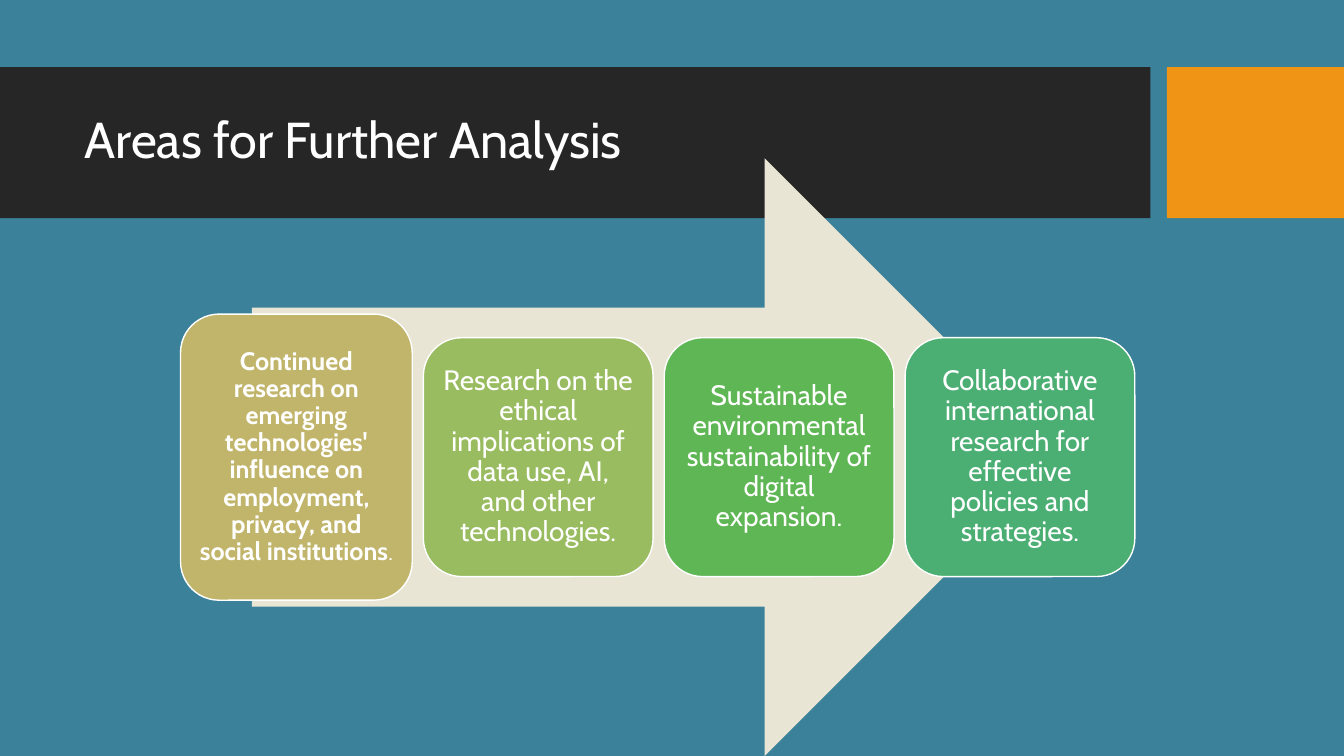
from dataclasses import dataclass

from pptx import Presentation
from pptx.dml.color import RGBColor as Rgb
from pptx.enum.shapes import MSO_SHAPE as Kind
from pptx.enum.text import MSO_ANCHOR as Anchor, PP_ALIGN as Align
from pptx.util import Cm, Pt


@dataclass(frozen=True)
class Theme:
    font: str = "Cabin"
    back: str = "3A8199"
    band: str = "262626"
    accent: str = "F09415"
    arrow: str = "E9E5D4"
    white: str = "FFFFFF"
    title: int = 36
    body: int = 20
    lead: int = 18
    stop: int = 16


def write(frame, text, *, font, size, color, bold=False, align=Align.LEFT,
          pad=(0.25, 0.13), tail="", tail_size=None):
    """Fill a frame with one paragraph and an optional plain tail."""
    frame.word_wrap = True
    frame.vertical_anchor = Anchor.MIDDLE
    frame.margin_left = frame.margin_right = Cm(pad[0])
    frame.margin_top = frame.margin_bottom = Cm(pad[1])
    para = frame.paragraphs[0]
    para.alignment = align
    para.line_spacing = 0.9
    for part, points, heavy in ((text, size, bold), (tail, tail_size, False)):
        if part:
            run = para.add_run()
            run.text = part
            run.font.name = font
            run.font.size = Pt(points)
            run.font.bold = heavy
            run.font.color.rgb = Rgb.from_string(color)


class Canvas:
    def __init__(self, slide, theme):
        self.slide, self.theme = slide, theme
        fill = slide.background.fill
        fill.solid()
        fill.fore_color.rgb = Rgb.from_string(theme.back)

    def shape(self, kind, box, color, line=None):
        item = self.slide.shapes.add_shape(kind, *map(Cm, box))
        item.shadow.inherit = False
        item.fill.solid()
        item.fill.fore_color.rgb = Rgb.from_string(color)
        if line:
            item.line.color.rgb = Rgb.from_string(line)
            item.line.width = Pt(1)
        else:
            item.line.fill.background()
        return item

    def title(self, text, box):
        look = self.theme
        item = self.slide.shapes.add_textbox(*map(Cm, box))
        write(item.text_frame, text, font=look.font, size=look.title,
              color=look.white)

    def card(self, text, box, color, **style):
        look = self.theme
        item = self.shape(Kind.ROUNDED_RECTANGLE, box, color, look.white)
        style = {"size": look.body, "pad": (0.2, 0.2), **style}
        write(item.text_frame, text, font=look.font, color=look.white,
              align=Align.CENTER, **style)


def main():
    deck = Presentation()
    deck.slide_width, deck.slide_height = Cm(33.87), Cm(19.05)
    look = Theme()
    page = Canvas(deck.slides.add_slide(deck.slide_layouts[6]), look)

    # Title band and accent block
    page.shape(Kind.RECTANGLE, (0, 1.69, 28.99, 3.81), look.band)
    page.shape(Kind.RECTANGLE, (29.41, 1.69, 4.46, 3.81), look.accent)
    page.title("Areas for Further Analysis", (1.88, 2.08, 26.7, 3))

    # Arrow behind the cards
    page.shape(Kind.RIGHT_ARROW, (6.35, 3.99, 20.45, 15.06), look.arrow)

    # Cards in a row, centred on the arrow; the first is larger
    large, small = (5.84, 7.21), (5.79, 6.02)
    lead = {"size": look.lead, "bold": True, "pad": (0.18, 0.18),
            "tail": ".", "tail_size": look.stop}
    cards = [
        ("Continued research on emerging technologies' influence on "
         "employment, privacy, and social institutions",
         "C1B56B", large, lead),
        ("Research on the ethical implications of data use, AI, "
         "and other technologies.", "99BC60", small, {}),
        ("Sustainable environmental sustainability of digital expansion.",
         "5FB654", small, {}),
        ("Collaborative international research for effective policies "
         "and strategies.", "4BAF73", small, {}),
    ]
    left, middle, gap = 4.55, 11.52, 0.28
    for text, color, (width, height), style in cards:
        box = (left, middle - height / 2, width, height)
        page.card(text, box, color, **style)
        left += width + gap

    deck.save("out.pptx")


if __name__ == "__main__":
    main()
